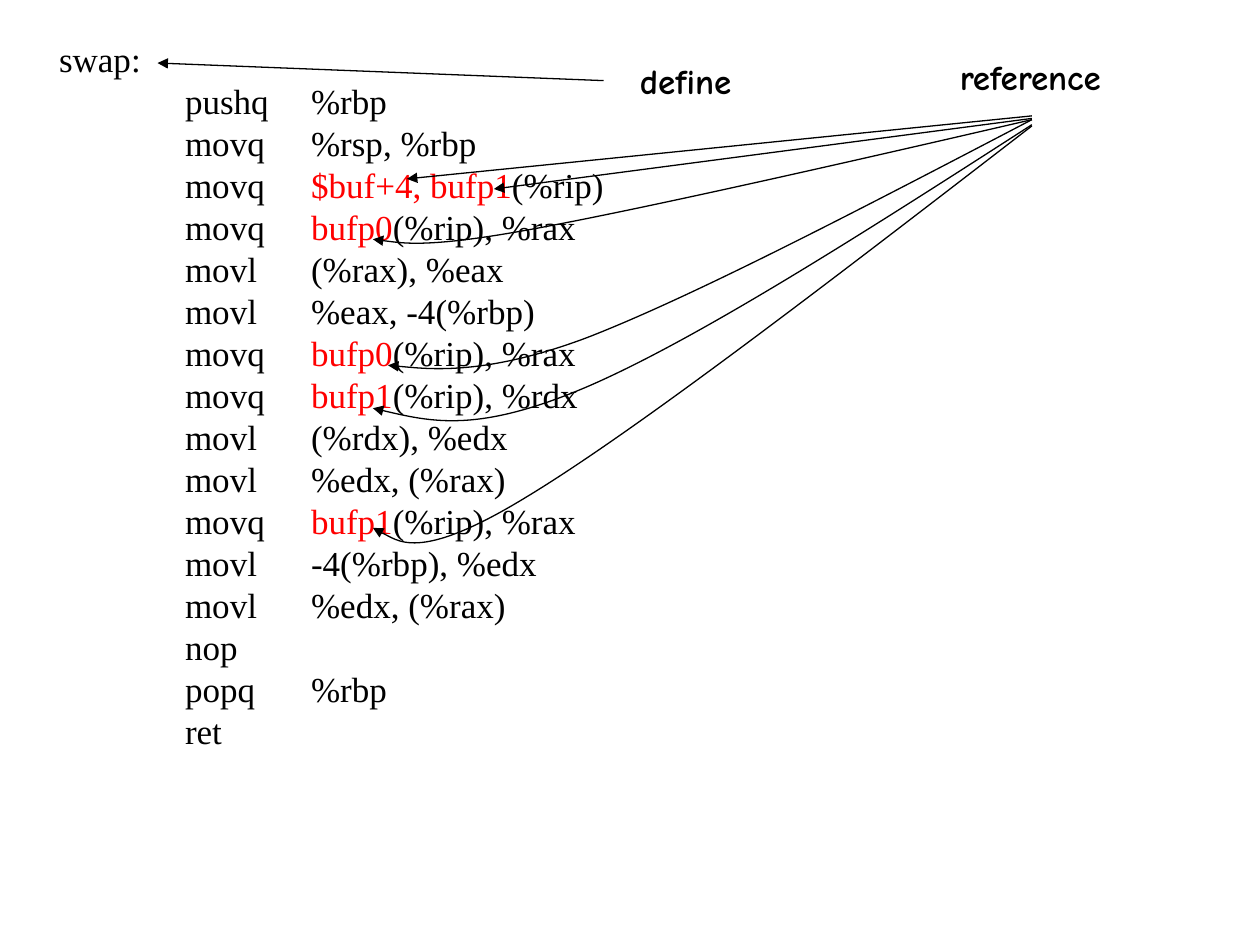
from typing import NamedTuple

from lxml.etree import SubElement
from pptx import Presentation
from pptx.dml.color import RGBColor
from pptx.enum.shapes import MSO_CONNECTOR, MSO_SHAPE
from pptx.enum.text import MSO_ANCHOR, MSO_AUTO_SIZE, PP_ALIGN
from pptx.oxml.ns import qn
from pptx.util import Inches, Pt

COLORS = {"ink": "000000", "paper": "FFFFFF", "symbol": "FF0000"}


class Code(NamedTuple):
    op: str
    symbol: str = ""
    rest: str = ""


class Label(NamedTuple):
    text: str
    left: float
    top: float
    width: float


class Arrow(NamedTuple):
    start: tuple
    end: tuple


class Curve(NamedTuple):
    """Start point, then three points for each Bezier piece."""
    start: tuple
    points: list
    height: float


CODE = [
    Code("pushq", rest="%rbp"),
    Code("movq", rest="%rsp, %rbp"),
    Code("movq", "$buf+4, bufp1", "(%rip)"),
    Code("movq", "bufp0", "(%rip), %rax"),
    Code("movl", rest="(%rax), %eax"),
    Code("movl", rest="%eax, -4(%rbp)"),
    Code("movq", "bufp0", "(%rip), %rax"),
    Code("movq", "bufp1", "(%rip), %rdx"),
    Code("movl", rest="(%rdx), %edx"),
    Code("movl", rest="%edx, (%rax)"),
    Code("movq", "bufp1", "(%rip), %rax"),
    Code("movl", rest="-4(%rbp), %edx"),
    Code("movl", rest="%edx, (%rax)"),
    Code("nop"),
    Code("popq", rest="%rbp"),
    Code("ret"),
]
LABELS = [Label("define", 4.98, 0.42, 0.96), Label("reference", 7.52, 0.39, 1.36)]
ARROWS = [
    Arrow((4.79, 0.64), (1.25, 0.5)),
    Arrow((8.19, 0.92), (3.23, 1.42)),
    Arrow((8.19, 0.94), (3.92, 1.5)),
]
CURVES = [
    Curve((8.19, 0.95), [(6.64, 1.31), (5.09, 1.66), (4.22, 1.82),
                         (3.35, 1.98), (2.96, 1.9), (2.96, 1.9)], 0.96),
    Curve((8.19, 0.95), [(6.85, 1.65), (5.51, 2.35), (4.66, 2.68),
                         (3.81, 3), (3.08, 2.9), (3.08, 2.9)], 1.96),
    Curve((8.19, 0.99), [(6.87, 1.84), (5.54, 2.69), (4.66, 3.07),
                         (3.79, 3.44), (3.38, 3.34), (2.96, 3.24)], 2.34),
    Curve((8.19, 1), [(6.62, 2.21), (5.05, 3.42), (4.17, 3.95),
                      (3.3, 4.48), (2.96, 4.19), (2.96, 4.19)], 3.27),
]


def color(name: str) -> RGBColor:
    return RGBColor.from_string(COLORS[name])


def set_font(para, face: str, bold: bool = False) -> None:
    font = para.font
    font.name, font.size, font.bold = face, Pt(20), bold
    font.color.rgb = color("ink")


def set_tabs(para) -> None:
    """Set the stops of the two code columns."""
    tabs = SubElement(para._p.get_or_add_pPr(), qn("a:tabLst"))
    for stop in (1, 2):
        SubElement(tabs, qn("a:tab"), pos=str(Inches(stop)), algn="l")


def add_code(slide) -> None:
    box = slide.shapes.add_shape(MSO_SHAPE.RECTANGLE, Inches(0.37), Inches(0.25),
                                 Inches(9.08), Inches(6.92))
    box.shadow.inherit = False
    box.fill.solid()
    box.fill.fore_color.rgb = color("paper")
    box.line.fill.background()
    frame = box.text_frame
    frame.vertical_anchor = MSO_ANCHOR.TOP
    frame.word_wrap = True
    rows = [("swap:", "", "")]
    for code in CODE:
        gap = "\t" if code.rest else ""
        rows.append((f"\t{code.op}{gap}", code.symbol, code.rest))
    for i, row in enumerate(rows):
        para = frame.add_paragraph() if i else frame.paragraphs[0]
        set_tabs(para)
        para.alignment = PP_ALIGN.LEFT
        para.line_spacing = Pt(24)
        set_font(para, "Times New Roman")
        for part, tint in zip(row, ("ink", "symbol", "ink")):
            if part:
                run = para.add_run()
                run.text = part
                run.font.color.rgb = color(tint)


def add_label(slide, label: Label) -> None:
    box = slide.shapes.add_textbox(Inches(label.left), Inches(label.top),
                                   Inches(label.width), Inches(0.44))
    frame = box.text_frame
    frame.word_wrap = False
    frame.auto_size = MSO_AUTO_SIZE.SHAPE_TO_FIT_TEXT
    para = frame.paragraphs[0]
    para.text = label.text
    set_font(para, "Comic Neue", bold=True)


def set_line(shape) -> None:
    """Give a thin line with an arrowhead at its end."""
    shape.line.color.rgb = color("ink")
    shape.line.width = Pt(0.75)
    SubElement(shape.line._get_or_add_ln(), qn("a:tailEnd"), type="triangle")


def add_arrow(slide, arrow: Arrow) -> None:
    ends = [Inches(n) for n in arrow.start + arrow.end]
    line = slide.shapes.add_connector(MSO_CONNECTOR.STRAIGHT, *ends)
    set_line(line)
    SubElement(line._element.spPr, qn("a:effectLst"))


def add_curve(slide, curve: Curve) -> None:
    """Draw the points as a freeform, then turn each three into a Bezier piece."""
    build = slide.shapes.build_freeform(Inches(curve.start[0]), Inches(curve.start[1]))
    build.add_line_segments([(Inches(x), Inches(y)) for x, y in curve.points], close=False)
    shape = build.convert_to_shape()
    shape.shadow.inherit = False
    shape.fill.background()
    set_line(shape)
    outline = next(shape._element.iter(qn("a:path")))
    steps = outline.findall(qn("a:lnTo"))
    for i in range(0, len(steps), 3):
        piece = SubElement(outline, qn("a:cubicBezTo"))
        for step in steps[i:i + 3]:
            piece.append(step[0])
            outline.remove(step)
    # Control points reach below the curve, so the frame gets its true height.
    shape.height = Inches(curve.height)
    outline.set("h", str(shape.height))


def main() -> None:
    deck = Presentation()
    deck.slide_width, deck.slide_height = Inches(10), Inches(7.5)
    slide = deck.slides.add_slide(deck.slide_layouts[6])
    add_code(slide)
    for label in LABELS:
        add_label(slide, label)
    for arrow in ARROWS:
        add_arrow(slide, arrow)
    for curve in CURVES:
        add_curve(slide, curve)
    deck.save("out.pptx")


if __name__ == "__main__":
    main()
